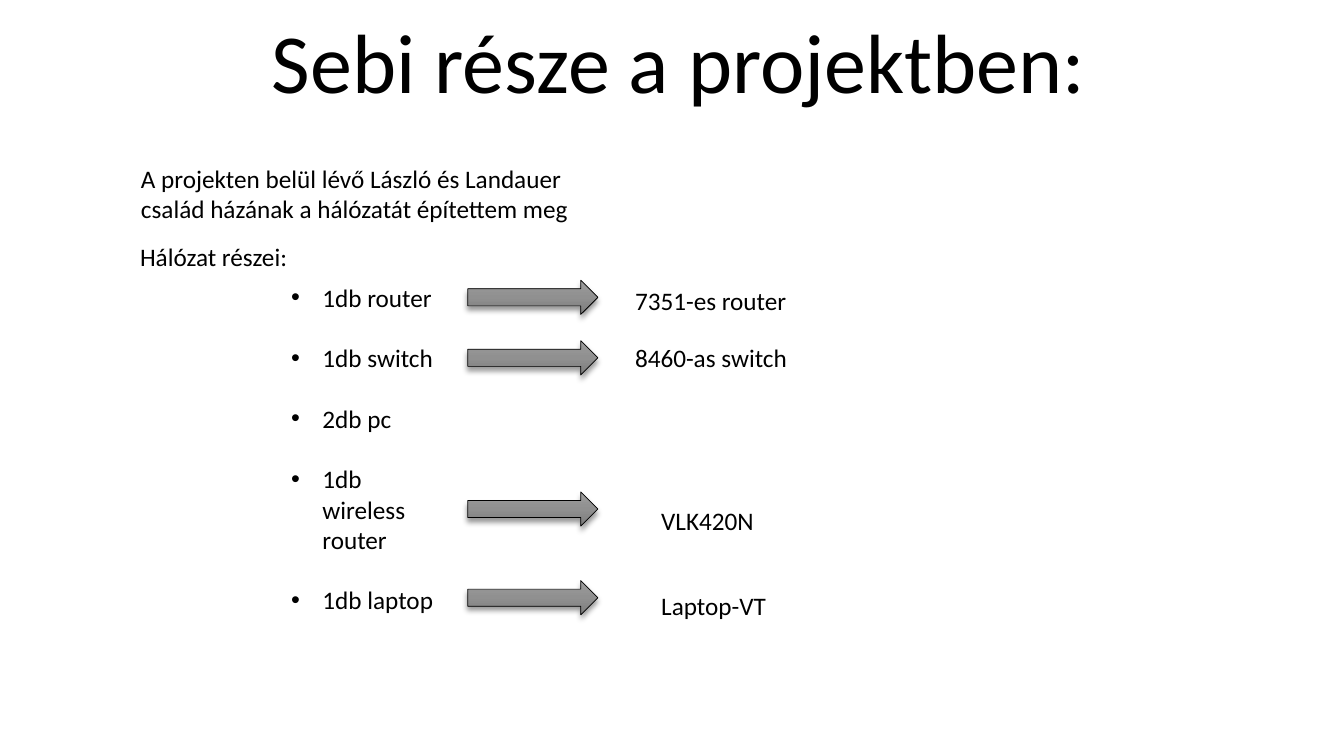
from lxml import etree
from pptx import Presentation
from pptx.dml.color import RGBColor
from pptx.enum.shapes import MSO_SHAPE
from pptx.enum.text import MSO_ANCHOR, PP_ALIGN
from pptx.oxml import parse_xml
from pptx.oxml.ns import nsdecls, qn
from pptx.util import Inches, Pt

ARROW = MSO_SHAPE.RIGHT_ARROW
TOP, BOTTOM = MSO_ANCHOR.TOP, MSO_ANCHOR.BOTTOM
LEFT, CENTER = PP_ALIGN.LEFT, PP_ALIGN.CENTER

FONT = "Calibri"
COLORS = {"text": "000000", "light": "9D9D9D", "mid": "909090", "dark": "7C7C7C"}
GRADIENT = [(0, "light"), (50, "mid"), (100, "dark")]

TITLE = "Sebi része a projektben:"
INTRO = "A projekten belül lévő László és Landauer család házának a hálózatát építettem meg"
PARTS_LABEL = "Hálózat részei:"
PARTS = ["1db router", "1db switch", "2db pc", "1db wireless router", "1db laptop"]
MODELS = [
    ("7351-es router", (6.2, 2.78, 1.95, 0.4), 2.78),
    ("8460-as switch", (6.2, 3.35, 1.76, 0.4), 3.38),
    ("VLK420N", (6.46, 4.96, 1.23, 0.4), 4.88),
    ("Laptop-VT", (6.46, 5.81, 1.24, 0.4), 5.76),
]
ARROW_LEFT, ARROW_WIDTH, ARROW_HEIGHT = 4.64, 1.29, 0.34
BULLET_INDENT = 0.31
BULLET_GAP = 21.6


def add_text(slide, box, lines, size=18, align=LEFT, anchor=TOP, wrap=True):
    tf = slide.shapes.add_textbox(*map(Inches, box)).text_frame
    tf.word_wrap = wrap
    tf.vertical_anchor = anchor
    for i, line in enumerate(lines):
        p = tf.add_paragraph() if i else tf.paragraphs[0]
        p.alignment = align
        r = p.add_run()
        r.text = line
        r.font.name = FONT
        r.font.size = Pt(size)
        r.font.color.rgb = RGBColor.from_string(COLORS["text"])
    return tf


def add_bullets(tf):
    indent = Inches(BULLET_INDENT)
    for i, p in enumerate(tf.paragraphs):
        p.space_before = Pt(BULLET_GAP if i else 0)
        pPr = p._p.get_or_add_pPr()
        pPr.set("marL", str(indent))
        pPr.set("indent", str(-indent))
        etree.SubElement(pPr, qn("a:buFont")).set("typeface", "Arial")
        etree.SubElement(pPr, qn("a:buChar")).set("char", "•")


def add_arrow(slide, top):
    box = (ARROW_LEFT, top, ARROW_WIDTH, ARROW_HEIGHT)
    sp = slide.shapes.add_shape(ARROW, *map(Inches, box))
    sp.line.color.rgb = RGBColor.from_string(COLORS["text"])
    sp.line.width = Pt(0.5)
    sp.shadow.inherit = False
    stops = "".join(
        f'<a:gs pos="{pos * 1000}"><a:srgbClr val="{COLORS[name]}"/></a:gs>'
        for pos, name in GRADIENT
    )
    spPr = sp._element.spPr
    spPr.find(qn("a:prstGeom")).addnext(parse_xml(
        f'<a:gradFill {nsdecls("a")} rotWithShape="1"><a:gsLst>{stops}</a:gsLst>'
        '<a:lin ang="5400000" scaled="0"/></a:gradFill>'
    ))
    spPr.find(qn("a:effectLst")).append(parse_xml(
        f'<a:outerShdw {nsdecls("a")} blurRad="{Pt(4)}" dist="{Pt(3)}" dir="5400000" '
        f'rotWithShape="0"><a:srgbClr val="{COLORS["text"]}"><a:alpha val="40000"/>'
        '</a:srgbClr></a:outerShdw>'
    ))


def main():
    """Build the slide about Sebi's part of the network project."""
    prs = Presentation()
    prs.slide_width, prs.slide_height = Inches(13.33), Inches(7.5)
    s = prs.slides.add_slide(prs.slide_layouts[6])
    title = add_text(s, (1.73, 0.01, 10, 1.15), [TITLE], 60, CENTER, BOTTOM)
    title.paragraphs[0].line_spacing = 0.9
    add_text(s, (1.3, 1.57, 5.04, 0.71), [INTRO])
    add_bullets(add_text(s, (2.79, 2.75, 1.76, 3.43), PARTS))
    add_text(s, (1.29, 2.34, 1.68, 0.4), [PARTS_LABEL], wrap=False)
    for model, box, arrow_top in MODELS:
        add_arrow(s, arrow_top)
        add_text(s, box, [model])
    prs.save("out.pptx")


if __name__ == "__main__":
    main()
